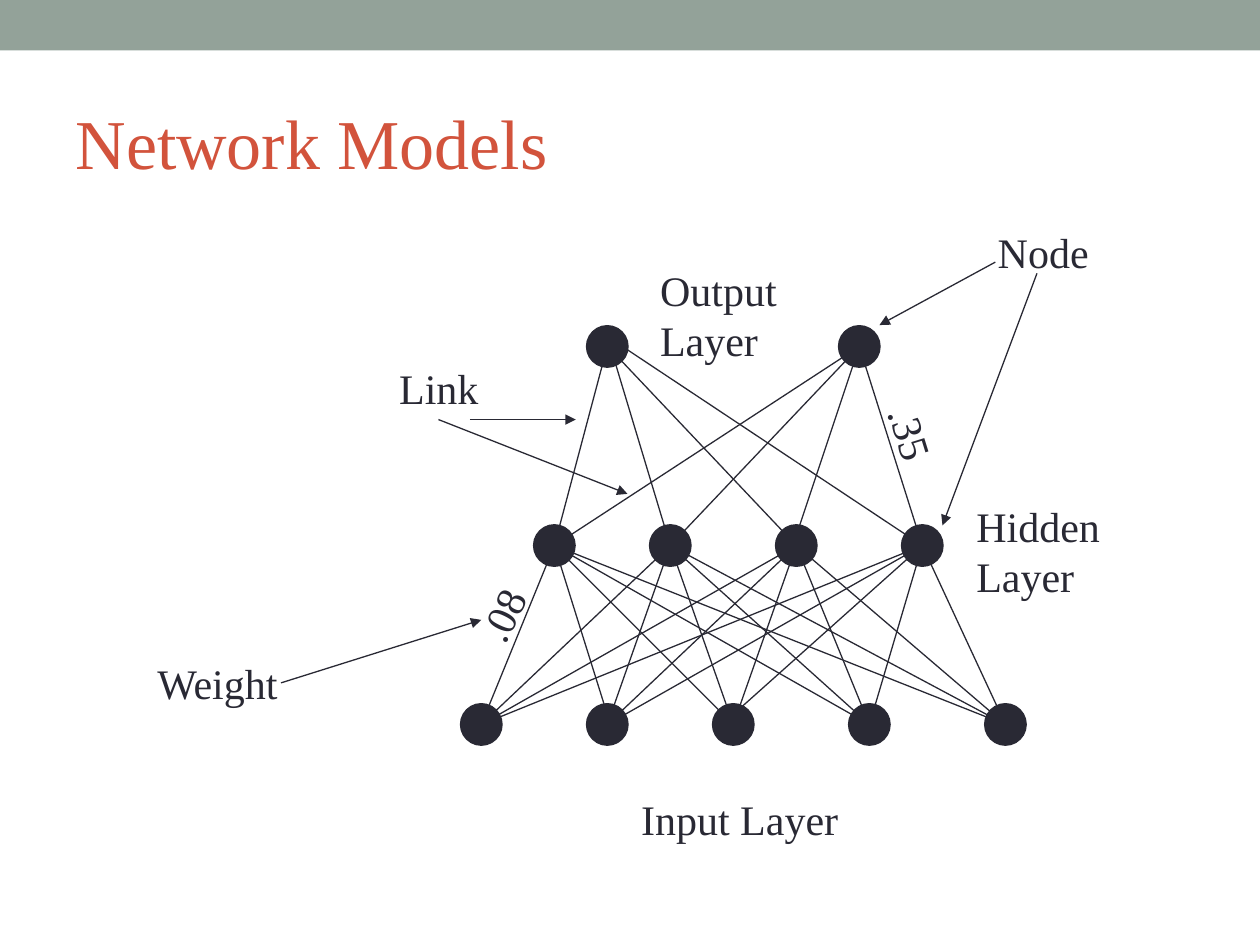
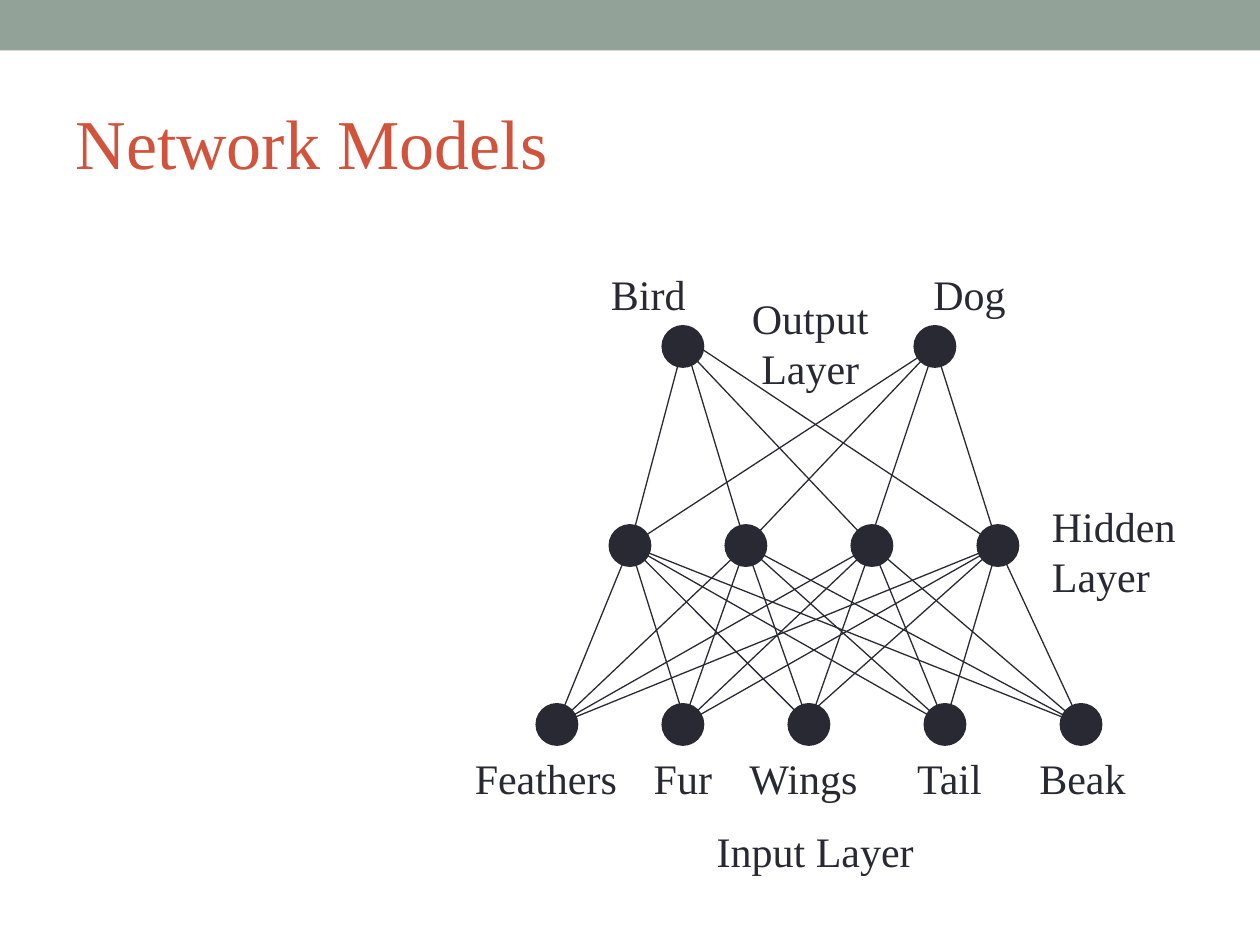
from lxml.etree import SubElement
from pptx import Presentation
from pptx.dml.color import RGBColor
from pptx.enum.shapes import MSO_CONNECTOR, MSO_SHAPE
from pptx.enum.text import MSO_ANCHOR, MSO_AUTO_SIZE, PP_ALIGN
from pptx.oxml.ns import qn
from pptx.util import Inches, Pt

COLORS = {"band": "93A299", "title": "D2533C", "ink": "292934"}
FONT = "Times New Roman"
NODE_SIZE = 0.33
LINE_HEIGHT = 0.4

# Node centres, relative to the network's left edge and top
LAYERS = {
    "output": (0.17, [1.17, 3.17]),
    "hidden": (1.75, [0.75, 1.67, 2.67, 3.67]),
    "input": (3.17, [0.17, 1.17, 2.17, 3.25, 4.33]),
}
# Link ends that sit slightly off a centre: (lower, i, upper, j) -> lower dy, upper dx, upper dy
NUDGES = {
    ("input", 1, "hidden", 0): (-0.08, 0, 0),
    ("input", 2, "hidden", 3): (-0.08, 0, 0),
    ("hidden", 1, "output", 0): (0, 0, -0.08),
    ("hidden", 3, "output", 0): (0, 0, -0.08),
    ("hidden", 2, "output", 0): (0, 0.08, 0.08),
    ("hidden", 2, "output", 1): (-0.08, 0, 0),
}


def color(name):
    return RGBColor.from_string(COLORS[name])


def write(frame, text, size=24, ink="ink", align=PP_ALIGN.LEFT):
    """Fill a text frame, one paragraph for each line."""
    for index, line in enumerate(text.split("\n")):
        para = frame.paragraphs[0] if index == 0 else frame.add_paragraph()
        para.alignment = align
        span = para.add_run()
        span.text = line
        span.font.name = FONT
        span.font.size = Pt(size)
        span.font.color.rgb = color(ink)


def add_label(page, text, left, top, width, rotation=0, align=PP_ALIGN.LEFT):
    height = 0.1 + LINE_HEIGHT * len(text.split("\n"))
    box = page.shapes.add_textbox(Inches(left), Inches(top), Inches(width), Inches(height))
    box.rotation = rotation
    frame = box.text_frame
    frame.word_wrap = False
    frame.auto_size = MSO_AUTO_SIZE.SHAPE_TO_FIT_TEXT
    # A narrow right inset leaves room for the last letter
    frame.margin_right = Inches(0.05)
    if align == PP_ALIGN.CENTER:
        frame.margin_left = frame.margin_right
    write(frame, text, align=align)


def add_filled(page, preset, left, top, width, height, fill):
    shape = page.shapes.add_shape(preset, Inches(left), Inches(top), Inches(width), Inches(height))
    shape.shadow.inherit = False
    shape.fill.solid()
    shape.fill.fore_color.rgb = color(fill)
    shape.line.color.rgb = color(fill)
    shape.line.width = Pt(0.75)
    return shape


def add_line(page, start, end, arrow=False):
    line = page.shapes.add_connector(
        MSO_CONNECTOR.STRAIGHT, *(Inches(value) for value in (*start, *end)))
    line.line.color.rgb = color("ink")
    line.line.width = Pt(0.75)
    properties = line.element.spPr
    if arrow:
        SubElement(properties.find(qn("a:ln")), qn("a:tailEnd"), type="triangle")
    SubElement(properties, qn("a:effectLst"))


def add_links(page, left, top, lower, upper):
    """Join every node of one layer to every node of the layer above."""
    lower_y, lower_xs = LAYERS[lower]
    upper_y, upper_xs = LAYERS[upper]
    for i, lower_x in enumerate(lower_xs):
        for j, upper_x in enumerate(upper_xs):
            lower_dy, dx, dy = NUDGES.get((lower, i, upper, j), (0, 0, 0))
            add_line(page, (left + lower_x, top + lower_y + lower_dy),
                     (left + upper_x + dx, top + upper_y + dy))


def add_network(page, left, top):
    for y, xs in LAYERS.values():
        for x in xs:
            add_filled(page, MSO_SHAPE.OVAL, left + x - NODE_SIZE / 2,
                       top + y - NODE_SIZE / 2, NODE_SIZE, NODE_SIZE, "ink")
    add_links(page, left, top, "input", "hidden")
    add_links(page, left, top, "hidden", "output")
    add_label(page, "Hidden\nLayer", left + 4, top + 1.34, 1.18)


def add_parts_labels(page, left, top):
    """Name the parts of the network and point at them."""
    for text, x, y, width, rotation in [
        ("Output\nLayer", 1.49, -0.53, 1.12, 0),
        ("Input Layer", 1.34, 3.67, 1.76, 0),
        ("Node", 4.17, -0.83, 0.92, 0),
        ("Link", -0.58, 0.25, 0.83, 0),
        ("Weight", -2.5, 2.59, 1.18, 0),
        (".08", 0.03, 2.05, 0.61, 295.6),
        (".35", 3.28, 0.61, 0.61, 72.8),
    ]:
        add_label(page, text, left + x, top + y, width, rotation)
    for x1, y1, x2, y2 in [
        (4.25, -0.5, 3.33, 0),         # Node to output node
        (4.58, -0.41, 3.83, 1.59),     # Node to hidden node
        (0.08, 0.75, 0.92, 0.75),      # Link, level
        (-0.17, 0.75, 1.33, 1.34),     # Link, sloping
        (-1.42, 2.84, 0.17, 2.34),     # Weight
    ]:
        add_line(page, (left + x1, top + y1), (left + x2, top + y2), arrow=True)


def add_animal_labels(page, left, top):
    """Name the classes above and the features below the network."""
    add_label(page, "Output\nLayer", left + 1.62, top - 0.31, 1.12, align=PP_ALIGN.CENTER)
    add_label(page, "Input Layer", left + 1.34, top + 3.92, 1.76)
    features = [("Feathers", -0.58, 1.33), ("Fur", 0.84, 0.66), ("Wings", 1.6, 1.07),
                ("Tail", 2.93, 0.73), ("Beak", 3.9, 0.88)]
    classes = [("Bird", 0.5, 0.79), ("Dog", 3.06, 0.77)]
    for y, names in [(3.34, features), (-0.5, classes)]:
        for text, x, width in names:
            add_label(page, text, left + x, top + y, width)


def add_page(deck, title_text):
    page = deck.slides.add_slide(deck.slide_layouts.get_by_name("Title Only"))
    title = page.shapes.title
    title.left, title.top = Inches(0.5), Inches(0.58)
    title.width, title.height = Inches(9), Inches(1.08)
    title.text_frame.vertical_anchor = MSO_ANCHOR.MIDDLE
    title.text_frame.auto_size = MSO_AUTO_SIZE.NONE
    write(title.text_frame, title_text, size=40, ink="title")
    return page


def add_master_band(deck, page):
    """Draw the top band once and move it to the back of the master."""
    band = add_filled(page, MSO_SHAPE.RECTANGLE, 0, 0, 10, 0.4, "band")
    band.line.fill.background()
    deck.slide_master.shapes.element.insert(2, band.element)


def main():
    deck = Presentation()
    deck.slide_width, deck.slide_height = Inches(10), Inches(7.5)
    slides = [(3.65, add_parts_labels), (4.25, add_animal_labels)]
    for index, (left, add_labels) in enumerate(slides):
        page = add_page(deck, "Network Models")
        if index == 0:
            add_master_band(deck, page)
        add_network(page, left, 2.58)
        add_labels(page, left, 2.58)
    deck.save("out.pptx")


if __name__ == "__main__":
    main()
